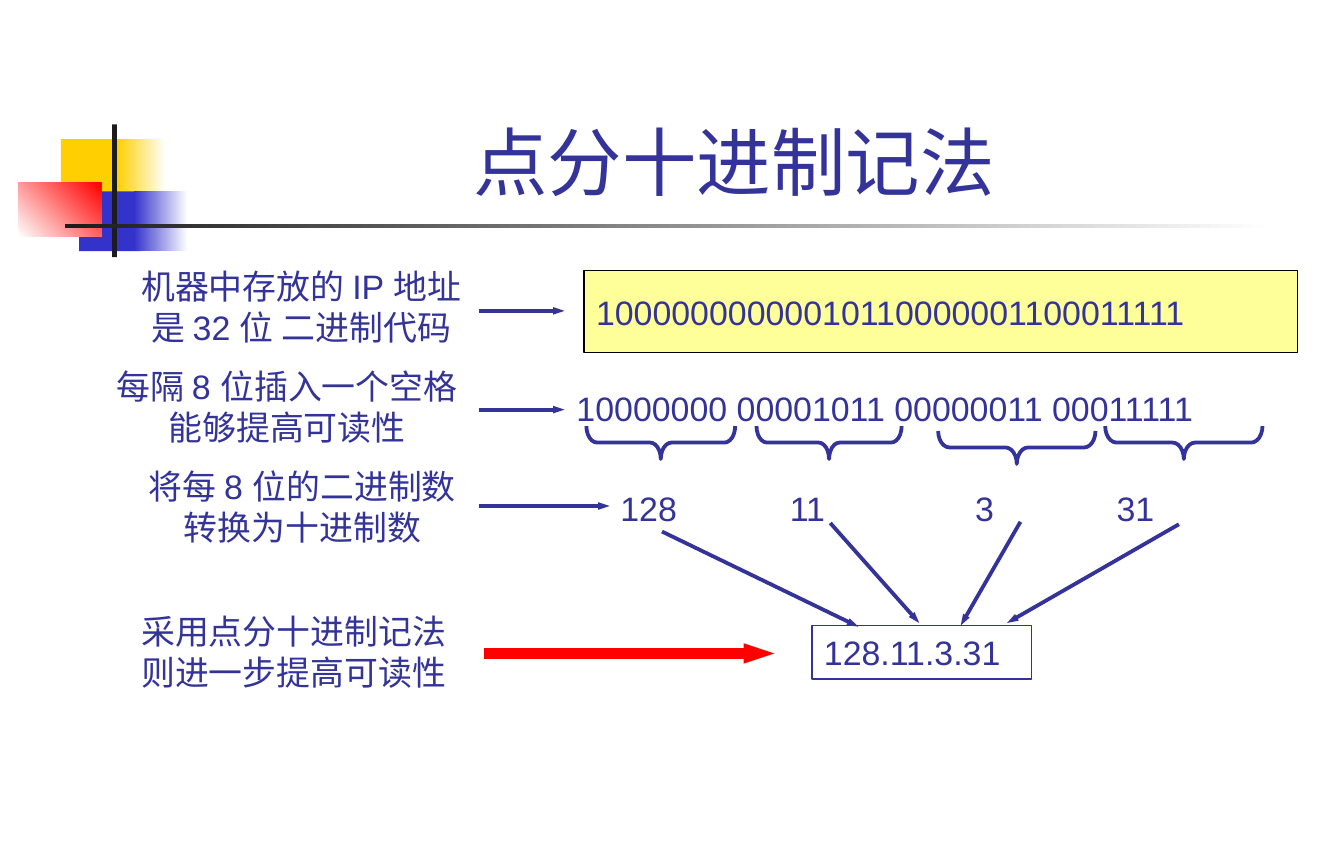
import pptx
import pptx.util
import pptx.dml.color
import pptx.enum.shapes
import pptx.enum.text
import pptx.oxml.ns
from lxml import etree

Inches = pptx.util.Inches
Shape = pptx.enum.shapes.MSO_SHAPE
Align = pptx.enum.text.PP_ALIGN
Anchor = pptx.enum.text.MSO_ANCHOR
qn = pptx.oxml.ns.qn
INK = "333399"
FONT = "Arial"


def colour(value):
    return pptx.dml.color.RGBColor.from_string(value)


def add_part(page, kind, frame, fill=None, line=None, weight=0.75):
    part = page.shapes.add_shape(kind, *map(Inches, frame))
    part.shadow.inherit = False
    if fill:
        part.fill.solid()
        part.fill.fore_color.rgb = colour(fill)
    else:
        part.fill.background()
    if line:
        part.line.color.rgb = colour(line)
        part.line.width = pptx.util.Pt(weight)
    else:
        part.line.fill.background()
    return part


def add_fade(page, frame, start, end, angle=0):
    part = add_part(page, Shape.RECTANGLE, frame)
    part.fill.gradient()
    part.fill.gradient_angle = angle
    for stop, value in zip(part.fill.gradient_stops, (start, end)):
        stop.color.rgb = colour(value)


def write(box, text, size=20, align=Align.LEFT, anchor=Anchor.TOP, wrap=True):
    frame = box.text_frame
    frame.text = text
    frame.word_wrap = wrap
    frame.vertical_anchor = anchor
    for para in frame.paragraphs:
        para.alignment = align
        for span in para.runs:
            span.font.size = pptx.util.Pt(size)
            span.font.name = FONT
            span.font.color.rgb = colour(INK)


def add_text(page, frame, text, **style):
    box = page.shapes.add_textbox(*map(Inches, frame))
    write(box, text, **style)
    return box


def set_tabs(box, stops):
    para = box.text_frame.paragraphs[0]
    tabs = etree.SubElement(para._p.get_or_add_pPr(), qn("a:tabLst"))
    for stop in stops:
        etree.SubElement(tabs, qn("a:tab"), pos=str(Inches(stop)), algn="l")


def add_brace(page, centre, middle, span, curve):
    depth = 0.27
    frame = (centre - depth / 2, middle - span / 2, depth, span)
    brace = add_part(page, Shape.LEFT_BRACE, frame, line=INK, weight=2.25)
    brace.rotation = 270
    brace.adjustments[0] = curve


def add_arrow(page, start, end, value=INK, weight=2.25):
    arrow = page.shapes.add_connector(
        pptx.enum.shapes.MSO_CONNECTOR.STRAIGHT, *map(Inches, start + end))
    arrow.line.color.rgb = colour(value)
    arrow.line.width = pptx.util.Pt(weight)
    etree.SubElement(arrow.line._get_or_add_ln(), qn("a:tailEnd"),
                     type="triangle", w="sm", len="med")
    etree.SubElement(arrow._element.spPr, qn("a:effectLst"))


def add_decoration(page):
    add_part(page, Shape.RECTANGLE, (0.5, 1.14, 0.53, 0.49), "FFCF01")
    add_fade(page, (0.96, 1.14, 0.4, 0.49), "FFCF01", "FFFFFF")
    add_part(page, Shape.RECTANGLE, (0.65, 1.57, 0.51, 0.49), "3333CC")
    add_fade(page, (1.1, 1.57, 0.44, 0.49), "3333CC", "FFFFFF")
    add_fade(page, (0.15, 1.5, 0.68, 0.44), "FFFFFF", "FF0000", 45)
    add_part(page, Shape.RECTANGLE, (0.92, 1.02, 0.04, 1.09), "1C1C1C")
    add_fade(page, (0.53, 1.84, 9.92, 0.03), "1C1C1C", "FFFFFF")


def add_steps(page):
    steps = [
        (0.99, 2.13, 2.96, "机器中存放的 IP 地址\n是 32 位 二进制代码", Align.CENTER),
        (0.78, 2.95, 3.15, "每隔 8 位插入一个空格\n能够提高可读性", Align.CENTER),
        (1.05, 3.77, 2.86, "将每 8 位的二进制数\n转换为十进制数", Align.CENTER),
        (1.06, 4.96, 2.83, "采用点分十进制记法\n则进一步提高可读性", Align.LEFT),
    ]
    for left, top, width, text, align in steps:
        add_text(page, (left, top, width, 0.77), text, align=align, wrap=False)
    for y, end in ((2.55, 4.63), (3.36, 4.63), (4.15, 5)):
        add_arrow(page, (3.93, y), (end, y))
    add_arrow(page, (3.97, 5.36), (6.35, 5.36), "FF0000", 6)


def add_conversion(page):
    bits = add_part(page, Shape.RECTANGLE, (4.79, 2.22, 5.85, 0.67), "FFFF99", "000000")
    write(bits, "10000000000010110000001100011111", anchor=Anchor.MIDDLE)
    add_text(page, (4.63, 3.13, 5.58, 0.44), "10000000 00001011 00000011 00011111")
    result = add_part(page, Shape.RECTANGLE, (6.66, 5.13, 1.8, 0.44), line=INK)
    write(result, "128.11.3.31")
    decimals = add_text(page, (4.99, 3.95, 4.84, 0.44), "128\t11\t3\t31")
    set_tabs(decimals, (1.39, 2.91, 4.07))
    octets = [
        ((5.42, 3.63, 1.22, 0.326), (5.43, 4.36), (7.04, 5.14)),
        ((6.8, 3.63, 1.19, 0.32), (6.81, 4.29), (7.54, 5.11)),
        ((8.34, 3.67, 1.29, 0.343), (8.37, 4.28), (7.88, 5.13)),
        ((9.71, 3.63, 1.29, 0.343), (9.67, 4.3), (8.26, 5.11)),
    ]
    for brace, start, end in octets:
        add_brace(page, *brace)
        add_arrow(page, start, end)


def main():
    deck = pptx.Presentation()
    deck.slide_width = pptx.util.Cm(28)
    deck.slide_height = pptx.util.Cm(18)
    page = deck.slides.add_slide(deck.slide_layouts[6])
    add_decoration(page)
    add_text(page, (1.39, 0.22, 9.4, 1.51), "点分十进制记法 ",
             size=44, align=Align.CENTER, anchor=Anchor.BOTTOM)
    add_steps(page)
    add_conversion(page)
    deck.save("out.pptx")


if __name__ == "__main__":
    main()
